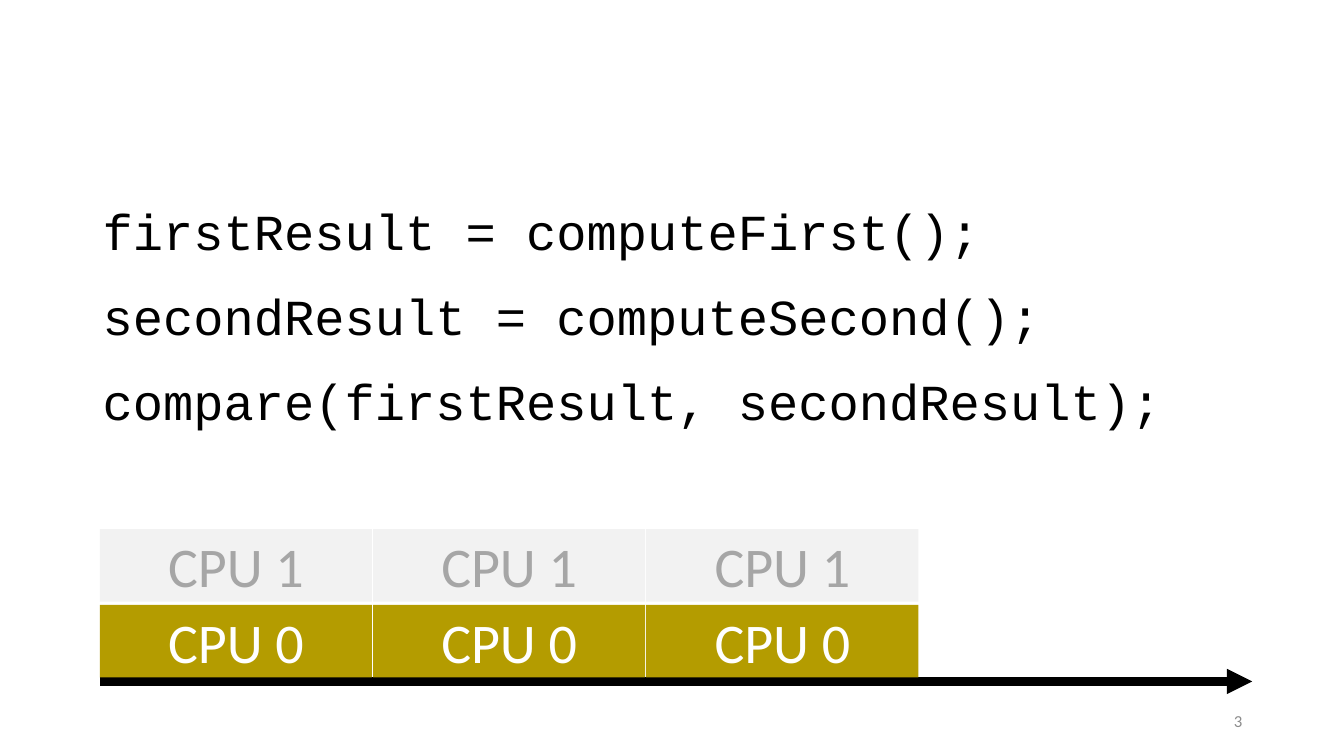
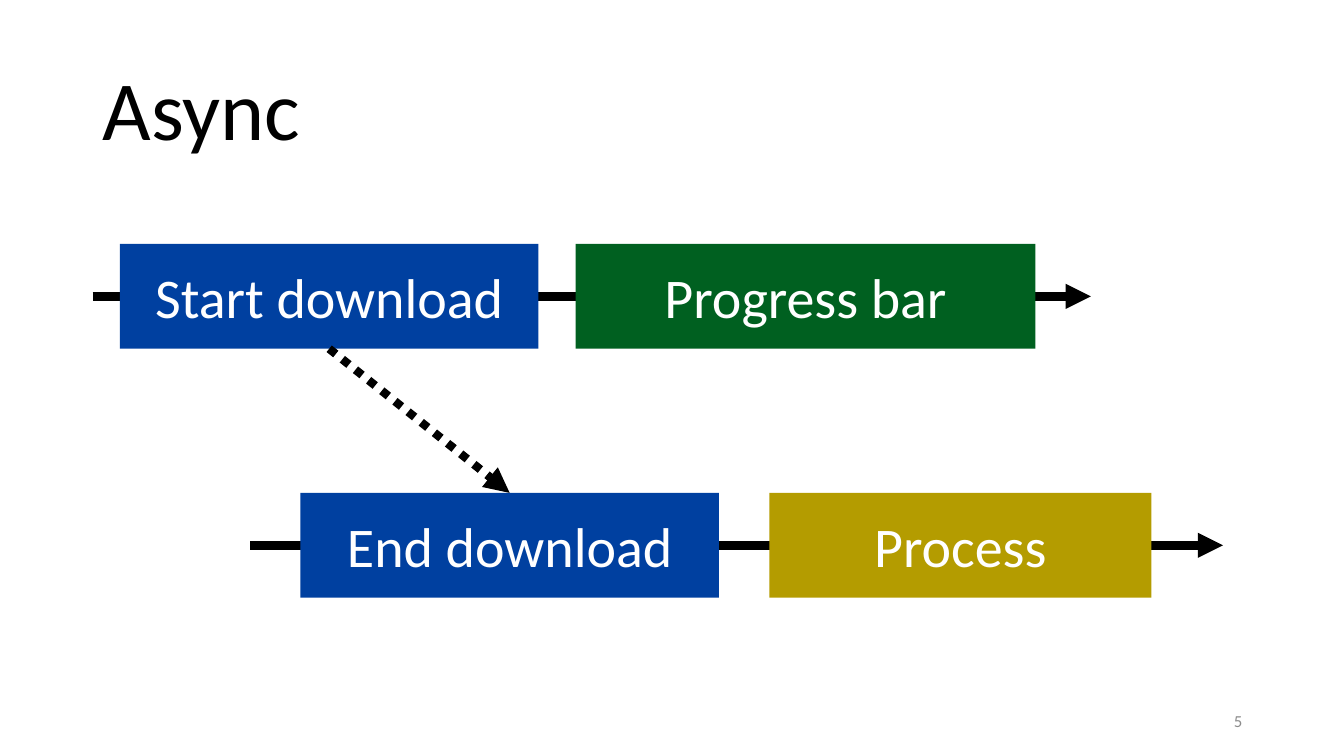
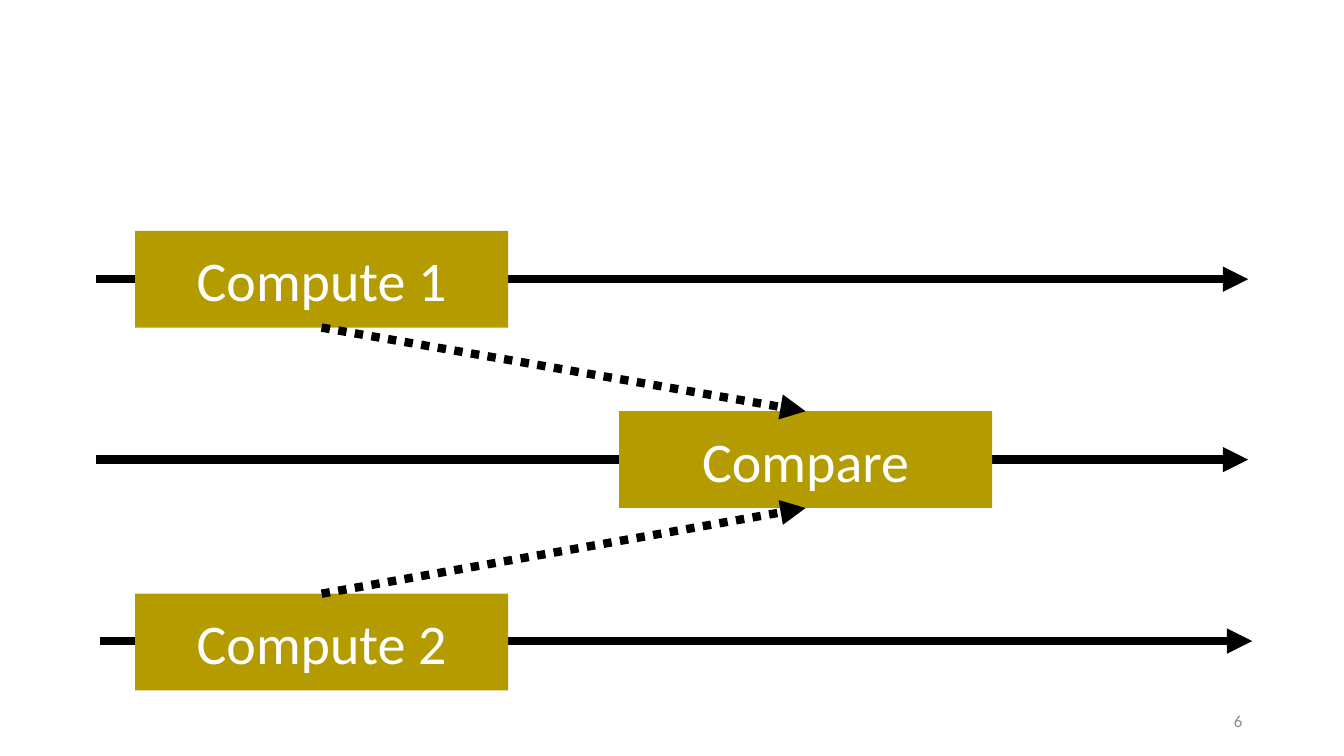
from dataclasses import dataclass

from pptx import Presentation
from pptx.dml.color import RGBColor as Rgb
from pptx.enum.dml import MSO_LINE_DASH_STYLE as Dash
from pptx.enum.shapes import MSO_CONNECTOR as Link, MSO_SHAPE as Form
from pptx.enum.text import MSO_ANCHOR as Anchor, PP_ALIGN as Align
from pptx.oxml.ns import qn
from pptx.oxml.xmlchemy import OxmlElement as Node
from pptx.shapes.autoshape import Shape
from pptx.shapes.connector import Connector
from pptx.slide import Slide
from pptx.text.text import TextFrame
from pptx.util import Emu, Pt

SCALE = 9144
TOP, BASE = 0, 2


@dataclass(frozen=True)
class Theme:
    sans: str = "Calibri"
    mono: str = "Courier New"
    black: str = "000000"
    white: str = "FFFFFF"
    gold: str = "B49C00"
    blue: str = "0040A0"
    green: str = "006020"
    pale: str = "F2F2F2"
    idle: str = "A6A6A6"
    gray: str = "8C8C8C"
    title: int = 60
    label: int = 40
    code: int = 36
    foot: int = 12
    line: int = 6


THEME = Theme()


@dataclass(frozen=True)
class Area:
    left: int
    top: int
    width: int
    height: int


@dataclass(frozen=True)
class Style:
    size: int
    ink: str
    face: str = THEME.sans
    align: Align = Align.LEFT
    anchor: Anchor = Anchor.MIDDLE
    lead: float = 1.0
    before: int = 0
    after: int = 0


@dataclass(frozen=True)
class Task:
    text: str
    area: Area
    fill: str = THEME.gold
    ink: str = THEME.white


@dataclass(frozen=True)
class Axis:
    left: int
    right: int
    y: int


TITLE = Style(THEME.title, THEME.black, lead=0.9)
CODE = Style(THEME.code, THEME.black, THEME.mono, anchor=Anchor.TOP,
             lead=0.9, before=10, after=12)
FOOT = Style(THEME.foot, THEME.gray, align=Align.RIGHT)


def px(count: int) -> Emu:
    return Emu(count * SCALE)


def place(area: Area) -> tuple[Emu, Emu, Emu, Emu]:
    return px(area.left), px(area.top), px(area.width), px(area.height)


def write(frame: TextFrame, lines: list[str], style: Style) -> None:
    frame.word_wrap = True
    frame.vertical_anchor = style.anchor
    for rank, text in enumerate(lines):
        para = frame.add_paragraph() if rank else frame.paragraphs[0]
        para.text = text
        para.alignment = style.align
        para.line_spacing = style.lead
        para.space_before = Pt(style.before if rank else 0)
        para.space_after = Pt(style.after)
        para.font.name = style.face
        para.font.size = Pt(style.size)
        para.font.color.rgb = Rgb.from_string(style.ink)


def add_text(slide: Slide, area: Area, lines: list[str], style: Style) -> None:
    write(slide.shapes.add_textbox(*place(area)).text_frame, lines, style)


def add_task(slide: Slide, task: Task) -> Shape:
    box = slide.shapes.add_shape(Form.RECTANGLE, *place(task.area))
    box.shadow.inherit = False
    box.fill.solid()
    box.fill.fore_color.rgb = Rgb.from_string(task.fill)
    box.line.fill.background()
    style = Style(THEME.label, task.ink, align=Align.CENTER)
    write(box.text_frame, [task.text], style)
    return box


def ink_arrow(arrow: Connector, dash: Dash | None = None) -> None:
    arrow.line.width = Pt(THEME.line)
    arrow.line.color.rgb = Rgb.from_string(THEME.black)
    if dash is not None:
        arrow.line.dash_style = dash
    props = arrow.element.spPr
    tip = Node("a:tailEnd")
    tip.set("type", "triangle")
    props.find(qn("a:ln")).append(tip)
    props.append(Node("a:effectLst"))


def add_axis(slide: Slide, axis: Axis) -> None:
    y = px(axis.y)
    ink_arrow(slide.shapes.add_connector(
        Link.STRAIGHT, px(axis.left), y, px(axis.right), y))


def join(slide: Slide, first: Shape, start: int, last: Shape, end: int) -> None:
    arrow = slide.shapes.add_connector(Link.STRAIGHT, 0, 0, 0, 0)
    arrow.begin_connect(first, start)
    arrow.end_connect(last, end)
    ink_arrow(arrow, Dash.ROUND_DOT)


def new_slide(deck: Presentation, number: int) -> Slide:
    slide = deck.slides.add_slide(deck.slide_layouts[6])
    add_text(slide, Area(942, 695, 300, 40), [str(number)], FOOT)
    return slide


def draw_code(slide: Slide) -> None:
    add_text(slide, Area(92, 200, 1150, 476), [
        "firstResult = computeFirst();",
        "secondResult = computeSecond();",
        "compare(firstResult, secondResult);",
    ], CODE)
    add_axis(slide, Axis(99, 1242, 676))
    rows = (("CPU 1", THEME.pale, THEME.idle), ("CPU 0", THEME.gold, THEME.white))
    for row, (text, fill, ink) in enumerate(rows):
        for col in range(3):
            area = Area(99 + 271 * col, 525 + 75 * row, 270, 72)
            add_task(slide, Task(text, area, fill, ink))


def draw_async(slide: Slide) -> None:
    add_text(slide, Area(92, 40, 1150, 145), ["Async"], TITLE)
    add_axis(slide, Axis(92, 1082, 294))
    add_axis(slide, Axis(248, 1213, 541))
    start, _, end, _ = [add_task(slide, task) for task in (
        Task("Start download", Area(119, 242, 415, 104), THEME.blue),
        Task("Progress bar", Area(571, 242, 456, 104), THEME.green),
        Task("End download", Area(298, 489, 415, 104), THEME.blue),
        Task("Process", Area(763, 489, 379, 104)),
    )]
    join(slide, start, BASE, end, TOP)


def draw_merge(slide: Slide) -> None:
    for axis in (Axis(95, 1238, 277), Axis(95, 1238, 456), Axis(99, 1242, 636)):
        add_axis(slide, axis)
    first, second, both = [
        add_task(slide, Task(text, Area(left, top, 370, 96)))
        for text, left, top in (
            ("Compute 1", 134, 229),
            ("Compute 2", 134, 589),
            ("Compare", 614, 408),
        )
    ]
    join(slide, first, BASE, both, TOP)
    join(slide, second, TOP, both, BASE)


def main() -> None:
    deck = Presentation()
    deck.slide_width, deck.slide_height = px(1333), px(750)
    for number, draw in ((3, draw_code), (5, draw_async), (6, draw_merge)):
        draw(new_slide(deck, number))
    deck.save("out.pptx")


if __name__ == "__main__":
    main()
